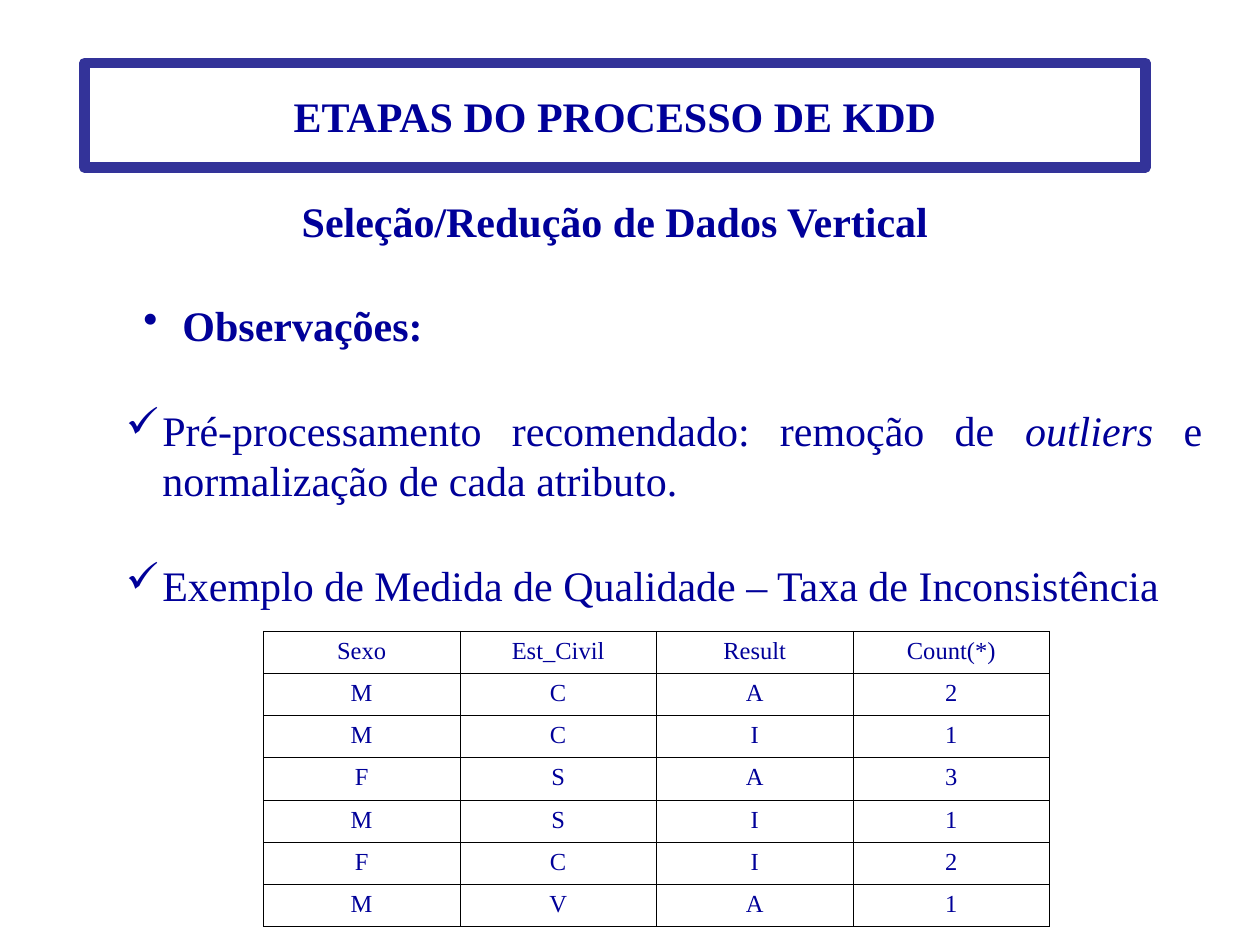
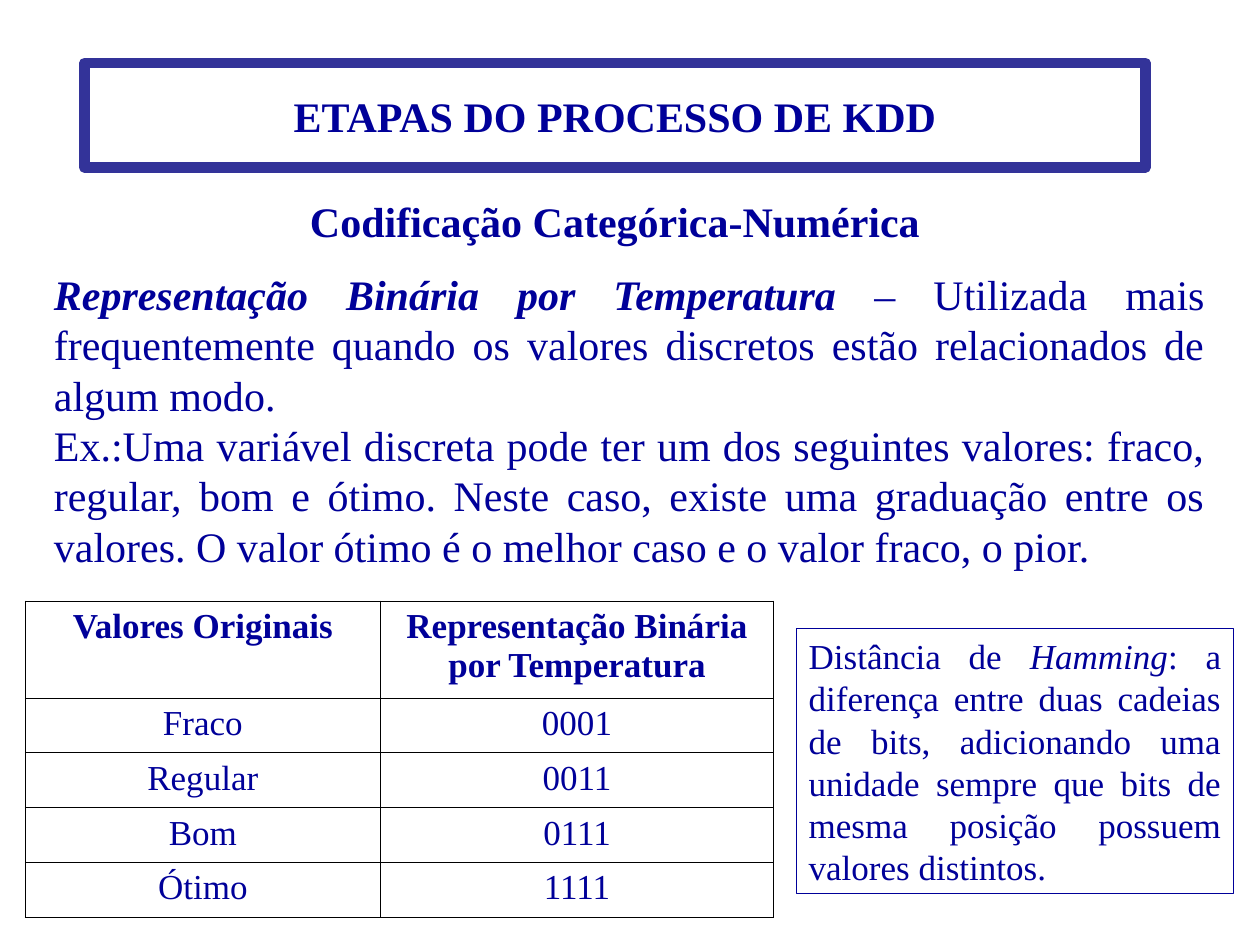
from dataclasses import dataclass
from typing import NamedTuple

from lxml.etree import SubElement
from pptx import Presentation
from pptx.dml.color import RGBColor
from pptx.enum.shapes import MSO_SHAPE
from pptx.enum.text import MSO_ANCHOR, PP_ALIGN
from pptx.oxml.ns import qn
from pptx.util import Emu, Pt

PX = 4572  # 200 px to the inch


@dataclass(frozen=True)
class Theme:
    font: str = "Times New Roman"
    ink: RGBColor = RGBColor(0x00, 0x00, 0x99)
    frame: RGBColor = RGBColor(0x33, 0x33, 0x99)
    grid: str = "000000"
    frame_width: float = 6
    box_width: float = 0.75
    grid_width: float = 0.45
    body: int = 24
    note: int = 20
    small: int = 14
    leading: float = 1.2


THEME = Theme()


class Box(NamedTuple):
    x: int
    y: int
    w: int
    h: int

    def emu(self) -> list[Emu]:
        return [Emu(v * PX) for v in self]


class Run(NamedTuple):
    text: str
    bold: bool = False
    italic: bool = False


class Bullet(NamedTuple):
    char: str
    indent: int


@dataclass(frozen=True)
class TextBlock:
    box: Box
    paragraphs: list[list[Run]]
    size: int = THEME.body
    align: PP_ALIGN = PP_ALIGN.JUSTIFY
    anchor: MSO_ANCHOR = MSO_ANCHOR.TOP
    bullet: Bullet | None = None


@dataclass(frozen=True)
class Grid:
    x: int
    y: int
    cols: list[int]
    row_heights: list[int]
    rows: list[list[str]]
    size: int
    bold_header: bool = False


TITLE = TextBlock(Box(134, 100, 1684, 166), [[Run("ETAPAS DO PROCESSO DE KDD", bold=True)]],
                  align=PP_ALIGN.CENTER, anchor=MSO_ANCHOR.MIDDLE)
SUBTITLE_BOX = Box(134, 300, 1684, 100)
CHECK = Bullet("✓", 58)


def add_run(p, run: Run, size: int) -> None:
    r = p.add_run()
    r.text = run.text
    r.font.name = THEME.font
    r.font.size = Pt(size)
    r.font.color.rgb = THEME.ink
    r.font.bold = run.bold
    r.font.italic = run.italic


def add_bullet(p, bullet: Bullet) -> None:
    pPr = p._p.get_or_add_pPr()
    pPr.set("marL", str(bullet.indent * PX))
    pPr.set("indent", str(-bullet.indent * PX))
    color = SubElement(SubElement(pPr, qn("a:buClr")), qn("a:srgbClr"))
    color.set("val", str(THEME.ink))
    SubElement(pPr, qn("a:buChar")).set("char", bullet.char)


def fill_text(tf, block: TextBlock) -> None:
    tf.word_wrap = True
    tf.vertical_anchor = block.anchor
    for i, runs in enumerate(block.paragraphs):
        p = tf.add_paragraph() if i else tf.paragraphs[0]
        p.alignment = block.align
        p.line_spacing = Pt(block.size * THEME.leading)
        if block.bullet:
            add_bullet(p, block.bullet)
        for run in runs:
            add_run(p, run, block.size)


def add_text(s, block: TextBlock) -> None:
    fill_text(s.shapes.add_textbox(*block.box.emu()).text_frame, block)


def add_framed_text(s, block: TextBlock, color: RGBColor, width: float) -> None:
    sp = s.shapes.add_shape(MSO_SHAPE.RECTANGLE, *block.box.emu())
    sp.shadow.inherit = False
    sp.fill.background()
    sp.line.color.rgb = color
    sp.line.width = Pt(width)
    fill_text(sp.text_frame, block)


def set_borders(cell) -> None:
    tcPr = cell._tc.get_or_add_tcPr()
    for i, side in enumerate(("lnL", "lnR", "lnT", "lnB")):
        ln = tcPr.makeelement(qn(f"a:{side}"), {"w": str(Pt(THEME.grid_width))})
        fill = SubElement(ln, qn("a:solidFill"))
        SubElement(fill, qn("a:srgbClr")).set("val", THEME.grid)
        tcPr.insert(i, ln)


def add_grid(s, grid: Grid) -> None:
    box = Box(grid.x, grid.y, sum(grid.cols), sum(grid.row_heights))
    table = s.shapes.add_table(len(grid.rows), len(grid.cols), *box.emu()).table
    table.first_row = table.horz_banding = False
    for col, width in zip(table.columns, grid.cols):
        col.width = Emu(width * PX)
    for i, (row, height, texts) in enumerate(zip(table.rows, grid.row_heights, grid.rows)):
        row.height = Emu(height * PX)
        for cell, text in zip(row.cells, texts):
            cell.fill.background()
            set_borders(cell)
            p = cell.text_frame.paragraphs[0]
            p.alignment = PP_ALIGN.CENTER
            add_run(p, Run(text, bold=grid.bold_header and i == 0), grid.size)


def add_titled_slide(prs, subtitle: str):
    s = prs.slides.add_slide(prs.slide_layouts[6])
    add_framed_text(s, TITLE, THEME.frame, THEME.frame_width)
    add_text(s, TextBlock(SUBTITLE_BOX, [[Run(subtitle, bold=True)]], align=PP_ALIGN.CENTER))
    return s


def build_vertical_reduction(prs) -> None:
    s = add_titled_slide(prs, "Seleção/Redução de Dados Vertical")
    add_text(s, TextBlock(Box(208, 466, 500, 100), [[Run("Observações:", bold=True)]],
                          bullet=Bullet("•", 62)))
    add_text(s, TextBlock(
        Box(180, 632, 1748, 180),
        [[Run("Pré-processamento recomendado: remoção de "), Run("outliers", italic=True),
          Run(" e normalização de cada atributo.")]],
        anchor=MSO_ANCHOR.MIDDLE, bullet=CHECK))
    add_text(s, TextBlock(
        Box(180, 878, 1748, 100),
        [[Run("Exemplo de Medida de Qualidade – Taxa de Inconsistência")]],
        anchor=MSO_ANCHOR.MIDDLE, bullet=CHECK))
    rows = [
        ["Sexo", "Est_Civil", "Result", "Count(*)"],
        ["M", "C", "A", "2"],
        ["M", "C", "I", "1"],
        ["F", "S", "A", "3"],
        ["M", "S", "I", "1"],
        ["F", "C", "I", "2"],
        ["M", "V", "A", "1"],
    ]
    add_grid(s, Grid(418, 1002, [312] * 4, [67] * len(rows), rows, THEME.small))


def build_categorical_coding(prs) -> None:
    s = add_titled_slide(prs, "Codificação Categórica-Numérica")
    add_text(s, TextBlock(Box(66, 416, 1866, 500), [
        [Run("Representação Binária por Temperatura", bold=True, italic=True),
         Run(" – ", italic=True),
         Run("Utilizada mais frequentemente quando os valores discretos estão "
             "relacionados de algum modo.")],
        [Run("Ex.:Uma variável discreta pode ter um dos seguintes valores: fraco, regular, "
             "bom e ótimo. Neste caso, existe uma graduação entre os valores. O valor ótimo "
             "é o melhor caso e o valor fraco, o pior.")],
    ]))
    rows = [
        ["Valores Originais", "Representação Binária por Temperatura"],
        ["Fraco", "0001"],
        ["Regular", "0011"],
        ["Bom", "0111"],
        ["Ótimo", "1111"],
    ]
    add_grid(s, Grid(40, 954, [564, 624], [154] + [87] * 4, rows, THEME.note,
                     bold_header=True))
    hamming = TextBlock(
        Box(1264, 998, 694, 420),
        [[Run("Distância de "), Run("Hamming", italic=True),
          Run(": a diferença entre duas cadeias de bits, adicionando uma unidade sempre "
              "que bits de mesma posição possuem valores distintos.")]],
        size=THEME.note, anchor=MSO_ANCHOR.MIDDLE)
    add_framed_text(s, hamming, THEME.ink, THEME.box_width)


def main() -> None:
    prs = Presentation()
    prs.slide_width, prs.slide_height = Emu(2000 * PX), Emu(1500 * PX)
    build_vertical_reduction(prs)
    build_categorical_coding(prs)
    prs.save("out.pptx")


if __name__ == "__main__":
    main()
